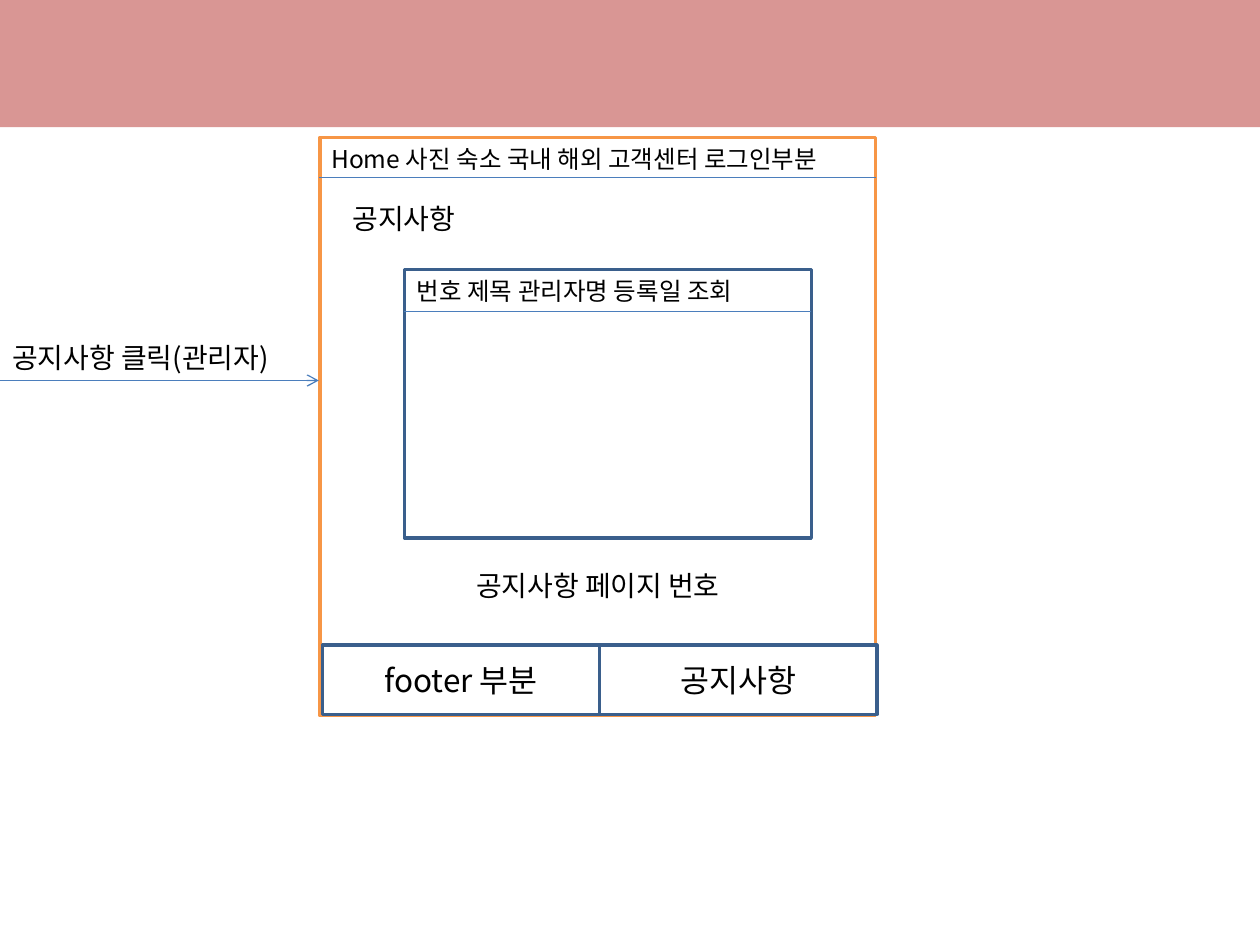
from lxml.etree import SubElement
from pptx import Presentation
from pptx.dml.color import RGBColor
from pptx.enum.shapes import MSO_CONNECTOR, MSO_SHAPE
from pptx.enum.text import MSO_ANCHOR, MSO_AUTO_SIZE, PP_ALIGN
from pptx.oxml.ns import qn
from pptx.util import Inches, Pt

FONT = "Noto Sans CJK KR"
WHITE, ORANGE, NAVY, BLUE, ROSE = "FFFFFF", "F79646", "3A5F8C", "4B7EBC", "D99694"

WIDTH, HEIGHT = 10, 7.5
BANNER_HEIGHT = 1.01
PAGE = (2.54, 1.09, 4.41, 4.59)
BOARD = (3.21, 2.14, 3.23, 2.13)
FOOTER_LEFT, FOOTER_TOP, FOOTER_WIDTH, FOOTER_HEIGHT = 2.56, 5.12, 2.2, 0.55
FOOTER_CELLS = ["footer 부분", "공지사항"]
LABELS = [
    ("공지사항 클릭(관리자)", 16, (0, 2.65, 2.56, 0.37)),
    ("Home 사진 숙소 국내 해외 고객센터 로그인부분", 14, (2.53, PAGE[1], 4.61, 0.34)),
    ("공지사항", 16, (2.7, 1.55, 1.09, 0.37)),
    ("번호 제목 관리자명 등록일 조회", 14, (*BOARD[:3], 0.34)),
    ("공지사항 페이지 번호", 16, (3.68, 4.46, 2.32, 0.37)),
]
RULES = [
    (-0.01, 2.53, 3.02, True),
    (2.53, PAGE[0] + PAGE[2], 1.41, False),
    (BOARD[0], BOARD[0] + BOARD[2], 2.47, False),
]


def color(value):
    return RGBColor.from_string(value)


def write(shape, text, size):
    paragraph = shape.text_frame.paragraphs[0]
    run = paragraph.add_run()
    run.text = text
    paragraph.font.size = run.font.size = Pt(size)
    run.font.name = FONT
    run.font.color.rgb = color("000000")
    SubElement(run.font._element, qn("a:ea"), typeface=FONT)
    return paragraph


def add_box(slide, area, fill, line=None):
    shape = slide.shapes.add_shape(MSO_SHAPE.RECTANGLE, *map(Inches, area))
    shape.shadow.inherit = False
    shape.fill.solid()
    shape.fill.fore_color.rgb = color(fill)
    if line:
        shape.line.color.rgb = color(line)
        shape.line.width = Pt(2)
    else:
        shape.line.fill.background()
    return shape


def add_label(slide, text, size, area):
    label = slide.shapes.add_textbox(*map(Inches, area))
    label.text_frame.word_wrap = True
    label.text_frame.auto_size = MSO_AUTO_SIZE.SHAPE_TO_FIT_TEXT
    write(label, text, size)


def add_rule(slide, start, end, y, arrow):
    rule = slide.shapes.add_connector(
        MSO_CONNECTOR.STRAIGHT, Inches(start), Inches(y), Inches(end), Inches(y))
    rule.line.color.rgb = color(BLUE)
    rule.line.width = Pt(0.75)
    if arrow:
        SubElement(rule.line._get_or_add_ln(), qn("a:tailEnd"), type="arrow")
    SubElement(rule._element.spPr, qn("a:effectLst"))


def main():
    """Build the wireframe slide of the notice board page."""
    presentation = Presentation()
    presentation.slide_width, presentation.slide_height = Inches(WIDTH), Inches(HEIGHT)
    slide = presentation.slides.add_slide(presentation.slide_layouts[6])

    add_box(slide, (0, 0, WIDTH, BANNER_HEIGHT), ROSE)
    add_box(slide, PAGE, WHITE, ORANGE)
    add_box(slide, BOARD, WHITE, NAVY)
    for column, text in enumerate(FOOTER_CELLS):
        left = FOOTER_LEFT + column * FOOTER_WIDTH
        cell = add_box(slide, (left, FOOTER_TOP, FOOTER_WIDTH, FOOTER_HEIGHT), WHITE, NAVY)
        cell.text_frame.vertical_anchor = MSO_ANCHOR.MIDDLE
        write(cell, text, 18).alignment = PP_ALIGN.CENTER
    for label in LABELS:
        add_label(slide, *label)
    for rule in RULES:
        add_rule(slide, *rule)
    presentation.save("out.pptx")


if __name__ == "__main__":
    main()
